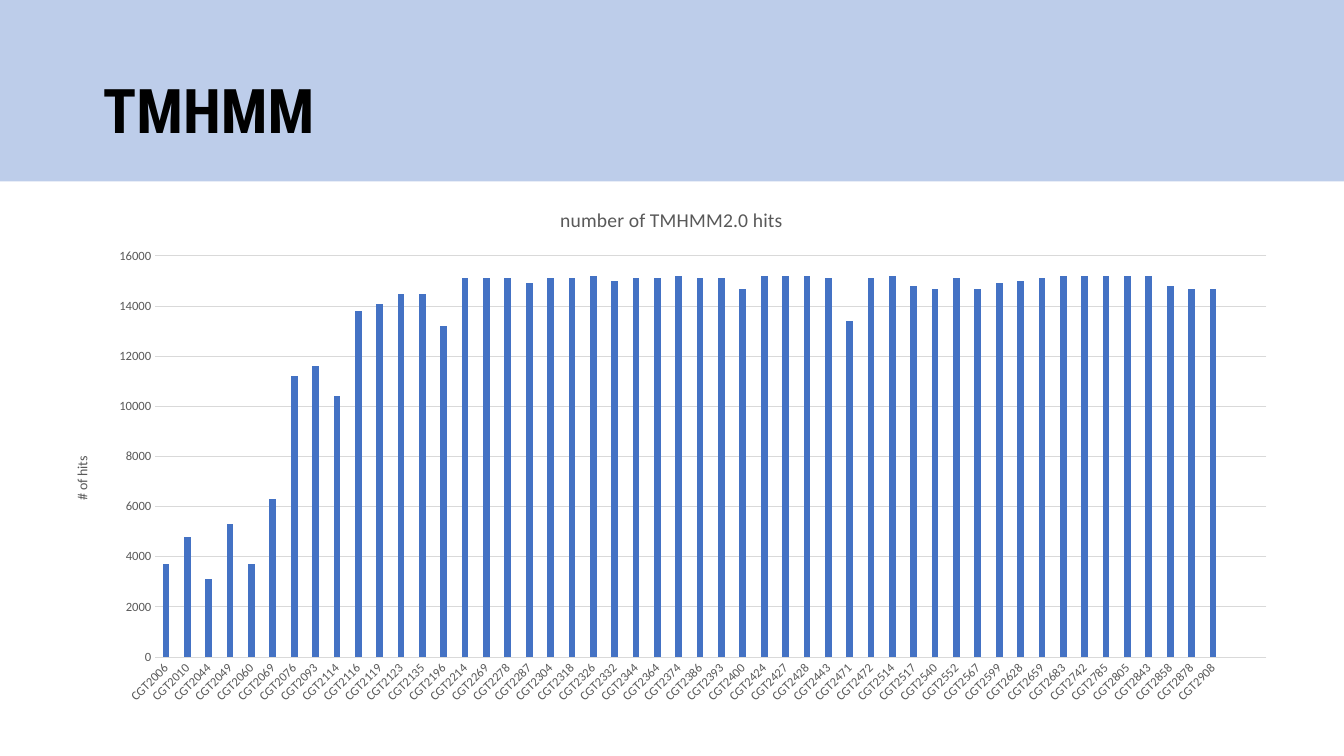
import pptx
import pptx.util
import pptx.chart.data
import pptx.dml.color
import pptx.enum.chart
import pptx.enum.shapes
import pptx.enum.text
import pptx.oxml
import pptx.oxml.ns

Inches = pptx.util.Inches
Pt = pptx.util.Pt
qn = pptx.oxml.ns.qn

CODES = """2006 2010 2044 2049 2060 2069 2076 2093 2114 2116 2119 2123 2135
2196 2214 2269 2278 2287 2304 2318 2326 2332 2344 2364 2374 2386 2393 2400
2424 2427 2428 2443 2471 2472 2514 2517 2540 2552 2567 2599 2628 2659 2683
2742 2785 2805 2843 2858 2878 2908""".split()
HITS = [
    3700, 4800, 3100, 5300, 3700, 6300, 11200, 11600, 10400, 13800,
    14100, 14500, 14500, 13200, 15100, 15100, 15100, 14900, 15100, 15100,
    15200, 15000, 15100, 15100, 15200, 15100, 15100, 14700, 15200, 15200,
    15200, 15100, 13400, 15100, 15200, 14800, 14700, 15100, 14700, 14900,
    15000, 15100, 15200, 15200, 15200, 15200, 15200, 14800, 14700, 14700,
]
SPARE = 2  # empty slots at the right end of the axis
CHART = (0.52, 1.85, 12.29, 5.25)


def color(text):
    return pptx.dml.color.RGBColor.from_string(text)


def place(node, index, **parts):
    """Lay out a chart title or plot area, in inches from the chart's corner."""
    for old in node.findall(qn("c:layout")):
        node.remove(old)
    wide, high = CHART[2:]
    ns = pptx.oxml.ns.nsdecls("c")
    inner = '<c:layoutTarget val="inner"/>' if "w" in parts else ""
    modes = '<c:xMode val="edge"/><c:yMode val="edge"/>'
    sizes = "".join(
        f'<c:{k} val="{v / (wide if k in "xw" else high):.5f}"/>'
        for k, v in parts.items())
    node.insert(index, pptx.oxml.parse_xml(
        f"<c:layout {ns}><c:manualLayout>{inner}{modes}{sizes}"
        "</c:manualLayout></c:layout>"))


class Deck:
    blue, grey, rule, black = "4472C4", "595959", "D9D9D9", "000000"
    head, body = "Roboto Condensed", "Calibri"

    def __init__(self):
        self.prs = pptx.Presentation()
        self.prs.slide_width = Inches(13.33)
        self.prs.slide_height = Inches(7.5)
        self.slide = self.prs.slides.add_slide(self.prs.slide_layouts[5])

    def style(self, font, name, size, tone, bold=False):
        font.name, font.size, font.bold = name, Pt(size), bold
        font.color.rgb = color(tone)

    def band(self, box, alpha):
        shapes = self.slide.shapes
        kind = pptx.enum.shapes.MSO_SHAPE.RECTANGLE
        band = shapes.add_shape(kind, *map(Inches, box))
        band.shadow.inherit = False
        band.fill.solid()
        band.fill.fore_color.rgb = color(self.blue)
        band.line.fill.background()
        tint = band.element.find(".//" + qn("a:srgbClr"))
        tint.append(pptx.oxml.parse_xml(
            f'<a:alpha {pptx.oxml.ns.nsdecls("a")} val="{alpha * 1000}"/>'))
        # Send the band behind the title
        shapes.title.element.addprevious(band.element)

    def title(self, text, box):
        title = self.slide.shapes.title
        title.left, title.top, title.width, title.height = map(Inches, box)
        frame = title.text_frame
        frame.word_wrap = True
        frame.vertical_anchor = pptx.enum.text.MSO_ANCHOR.MIDDLE
        para = frame.paragraphs[0]
        para.alignment = pptx.enum.text.PP_ALIGN.LEFT
        para.line_spacing = 0.9
        run = para.add_run()
        run.text = text
        self.style(run.font, self.head, 44, self.black, True)

    def label(self, title, text, size, x, y):
        run = title.text_frame.paragraphs[0].add_run()
        run.text = text
        self.style(run.font, self.body, size, self.grey)
        place(title.element, 1, x=x, y=y)

    def axis(self, axis):
        axis.major_tick_mark = pptx.enum.chart.XL_TICK_MARK.NONE
        axis.minor_tick_mark = pptx.enum.chart.XL_TICK_MARK.NONE
        self.style(axis.tick_labels.font, self.body, 9, self.grey)

    def thin(self, line):
        line.color.rgb = color(self.rule)
        line.width = Pt(0.75)

    def chart(self, names, values, box):
        data = pptx.chart.data.CategoryChartData()
        data.categories = names
        data.add_series("Series 1", values)
        kind = pptx.enum.chart.XL_CHART_TYPE.COLUMN_CLUSTERED
        chart = self.slide.shapes.add_chart(
            kind, *map(Inches, box), data).chart
        chart.has_legend = False
        self.style(chart.font, self.body, 10, self.black)
        place(chart.element.find(".//" + qn("c:plotArea")), 0,
              x=1.02, y=0.69, w=11.02, h=3.98)

        # Columns
        plot = chart.plots[0]
        plot.gap_width, plot.overlap = 219, -27
        plot.vary_by_categories = False
        fill = plot.series[0].format.fill
        fill.solid()
        fill.fore_color.rgb = color(self.blue)

        # Axes
        cat, val = chart.category_axis, chart.value_axis
        self.axis(cat)
        self.axis(val)
        self.thin(cat.format.line)
        self.thin(val.major_gridlines.format.line)
        val.format.line.fill.background()
        val.minimum_scale, val.maximum_scale = 0, 16000
        val.major_unit = 2000
        slant = chart.element.xpath(".//c:catAx/c:txPr/a:bodyPr")[0]
        slant.set("rot", "-2700000")
        slant.set("vert", "horz")

        # Titles
        chart.has_title = True
        self.label(chart.chart_title, "number of TMHMM2.0 hits",
                   14, 5, 0.16)
        self.label(val.axis_title, "# of hits", 10, 0.18, 2.65)
        turn = val.axis_title.element.find(".//" + qn("a:bodyPr"))
        turn.set("rot", "-5400000")
        turn.set("vert", "horz")


def main():
    deck = Deck()
    deck.band((0, 0, 13.33, 1.8), 35)
    deck.title("TMHMM", (0.92, 0.4, 11.5, 1.45))
    names = ["CGT" + code for code in CODES] + [""] * SPARE
    deck.chart(names, HITS + [None] * SPARE, CHART)
    deck.prs.save("out.pptx")


if __name__ == "__main__":
    main()
